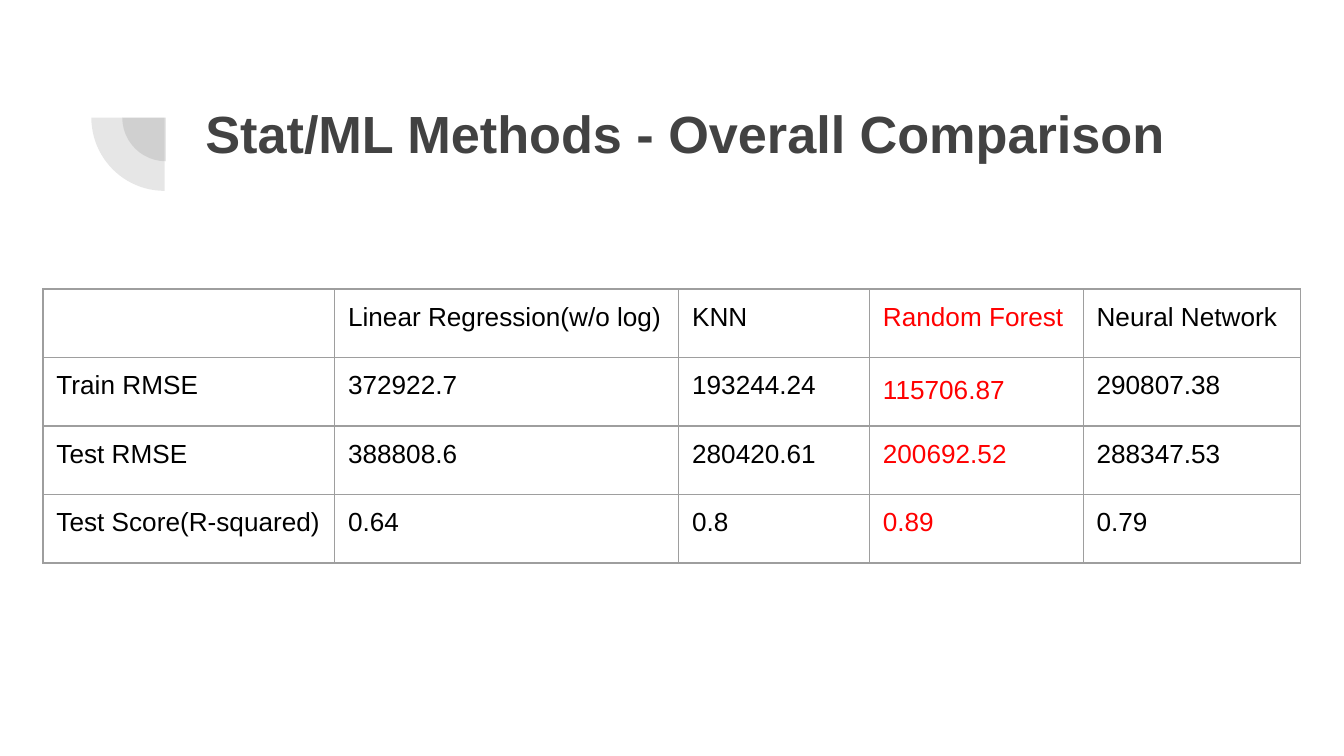
from lxml.etree import SubElement
from pptx import Presentation
from pptx.dml.color import RGBColor
from pptx.enum.shapes import MSO_SHAPE
from pptx.oxml.ns import qn
from pptx.util import Inches, Pt

TITLE = "Stat/ML Methods - Overall Comparison"
ROWS = [
    ("", "Linear Regression(w/o log)", "KNN", "Random Forest", "Neural Network"),
    ("Train RMSE", "372922.7", "193244.24", "115706.87", "290807.38"),
    ("Test RMSE", "388808.6", "280420.61", "200692.52", "288347.53"),
    ("Test Score(R-squared)", "0.64", "0.8", "0.89", "0.79"),
]
SLIDE_WIDTH = Inches(10)
SLIDE_HEIGHT = SLIDE_WIDTH * 9 // 16
COLUMN_WIDTHS = [2.17, 2.56, 1.42, 1.59, 1.62]
ROW_HEIGHT = 0.51
BEST_COLUMN = 3
LOOSE_CELL = (1, 3)
TABLE_LEFT, TABLE_TOP = 0.32, 2.15
PIES = [(0.91, 0.55, 0.65), (0.68, 0.33, 1.09)]  # left, top, diameter

FONT = "Arial"
DARK = RGBColor(0x42, 0x42, 0x42)
BLACK = RGBColor(0, 0, 0)
RED = RGBColor(0xFF, 0, 0)
BORDER = RGBColor(0x9E, 0x9E, 0x9E)


def write_text(frame, text, size, color, bold=False, line_spacing=None, space_after=None):
    paragraph = frame.paragraphs[0]
    paragraph.font.size = Pt(size)
    paragraph.line_spacing = line_spacing
    paragraph.space_after = space_after
    if not text:
        return
    run = paragraph.add_run()
    run.text = text
    run.font.name = FONT
    run.font.size = Pt(size)
    run.font.bold = bold
    run.font.color.rgb = color


def set_margins(target):
    for side in ("left", "right", "top", "bottom"):
        setattr(target, f"margin_{side}", Inches(0.1))


def add_quarter(slide, left, top, diameter):
    pie = slide.shapes.add_shape(
        MSO_SHAPE.PIE, Inches(left), Inches(top), Inches(diameter), Inches(diameter))
    pie.adjustments[0], pie.adjustments[1] = 108, 162
    pie.rotation = 270
    pie.shadow.inherit = False
    pie.line.fill.background()
    pie.fill.solid()
    pie.fill.fore_color.rgb = DARK
    color = pie.fill._xPr.find(qn("a:solidFill"))[0]
    SubElement(color, qn("a:alpha"), val="13000")


def add_borders(cell):
    """Outline a cell; the lines must come before its fill in the XML."""
    properties = cell._tc.get_or_add_tcPr()
    for tag in ("a:lnL", "a:lnR", "a:lnT", "a:lnB"):
        line = SubElement(properties, qn(tag), w=str(Pt(0.75)))
        fill = SubElement(line, qn("a:solidFill"))
        SubElement(fill, qn("a:srgbClr"), val=str(BORDER))


def add_comparison_table(slide):
    table = slide.shapes.add_table(
        len(ROWS), len(COLUMN_WIDTHS), Inches(TABLE_LEFT), Inches(TABLE_TOP),
        Inches(sum(COLUMN_WIDTHS)), Inches(ROW_HEIGHT * len(ROWS))).table
    table.first_row = table.horz_banding = False
    for column, width in zip(table.columns, COLUMN_WIDTHS):
        column.width = Inches(width)
    for row_index, values in enumerate(ROWS):
        table.rows[row_index].height = Inches(ROW_HEIGHT)
        for column_index, value in enumerate(values):
            cell = table.cell(row_index, column_index)
            set_margins(cell)
            add_borders(cell)
            cell.fill.background()
            loose = (row_index, column_index) == LOOSE_CELL
            write_text(cell.text_frame, value, size=14,
                       color=RED if column_index == BEST_COLUMN else BLACK,
                       line_spacing=1.15 if loose else None,
                       space_after=Pt(12) if loose else None)


def main():
    presentation = Presentation()
    presentation.slide_width, presentation.slide_height = SLIDE_WIDTH, SLIDE_HEIGHT
    slide = presentation.slides.add_slide(presentation.slide_layouts[6])
    for pie in PIES:
        add_quarter(slide, *pie)
    title = slide.shapes.add_textbox(Inches(1.43), Inches(0.65), Inches(7.69), Inches(1.09))
    title.text_frame.word_wrap = True
    set_margins(title.text_frame)
    write_text(title.text_frame, TITLE, size=28, color=DARK, bold=True)
    add_comparison_table(slide)
    presentation.save("out.pptx")


if __name__ == "__main__":
    main()
